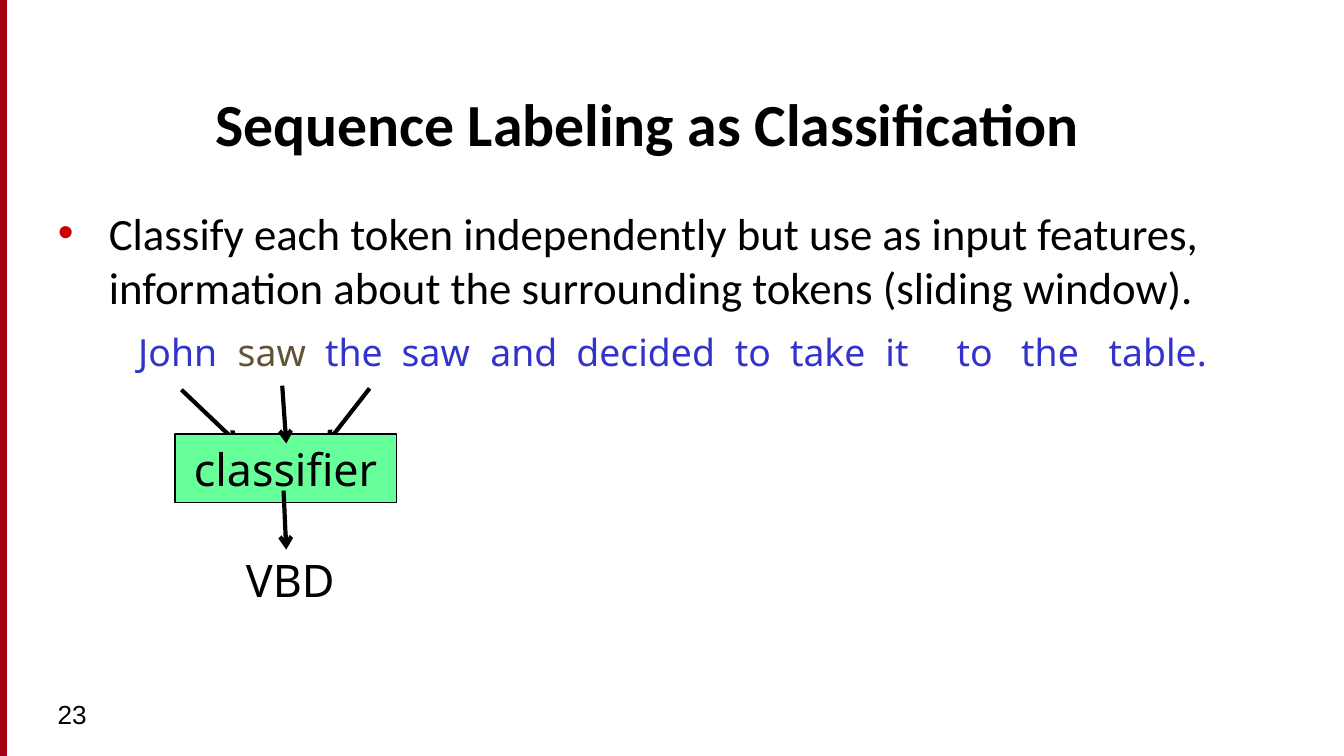
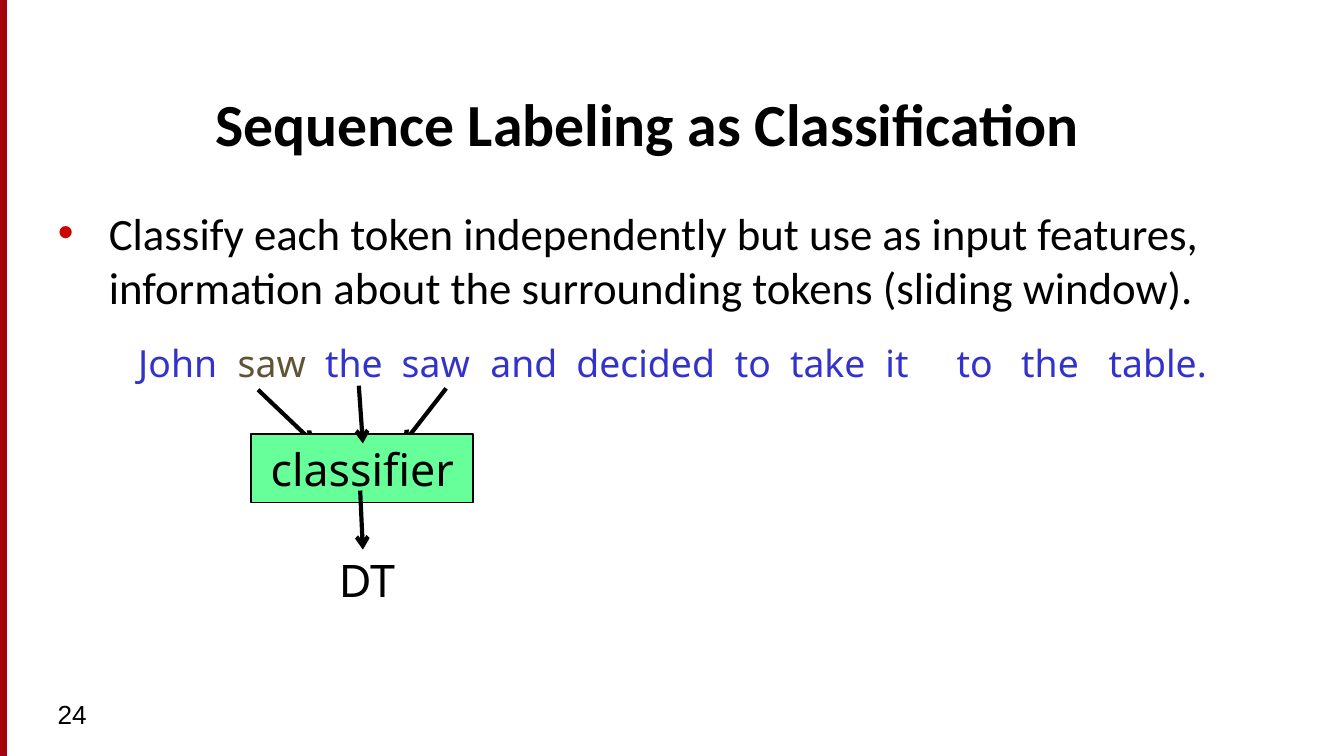
from lxml.etree import SubElement
from pptx import Presentation
from pptx.dml.color import RGBColor
from pptx.enum.shapes import MSO_CONNECTOR, MSO_SHAPE
from pptx.enum.text import MSO_ANCHOR, MSO_AUTO_SIZE, PP_ALIGN
from pptx.oxml.ns import qn
from pptx.util import Inches, Pt

BLACK = RGBColor(0x00, 0x00, 0x00)
RED = RGBColor(0xA4, 0x05, 0x08)
EDGE = RGBColor(0xA4, 0x00, 0x1D)
BULLET = RGBColor(0xCC, 0x00, 0x00)
BLUE = RGBColor(0x33, 0x33, 0xCC)
BROWN = RGBColor(0x60, 0x54, 0x35)
GREEN = RGBColor(0x66, 0xFF, 0x99)

WIDE = 10
HIGH = WIDE * 9 / 16
TITLE = "Sequence Labeling as Classification"
POINT = ("Classify each token independently but use as input features, "
         "information about the surrounding tokens (sliding window).")
WORDS = ["John", "saw", "the", "saw", "and", "decided",
         "to", "take", "it", "to", "the", "table."]
STOPS = [0.74, 1.39, 1.96, 2.62, 3.26, 4.44, 4.85, 5.56, 6.09, 6.57, 7.22]
MARKED = 1

# page number, top of the sentence, left of the classifier, tag, tag width
PAGES = [(23, 2.4, 1.3, "VBD", 0.86),
         (24, 2.48, 1.87, "DT", 0.66)]


def style(run, size, face, color=BLACK, bold=False):
    font = run.font
    font.size, font.name, font.bold = Pt(size), face, bold
    font.color.rgb = color


def place(shape, box):
    shape.left, shape.top, shape.width, shape.height = map(Inches, box)


def write(shape, text, size, face, bold=False, align=PP_ALIGN.LEFT,
          anchor=MSO_ANCHOR.TOP, wrap=True):
    """Fill a shape with one paragraph and return that paragraph."""
    frame = shape.text_frame
    frame.text = text
    frame.word_wrap = wrap
    frame.auto_size = MSO_AUTO_SIZE.NONE
    frame.vertical_anchor = anchor
    para = frame.paragraphs[0]
    para.alignment = align
    style(para.runs[0], size, face, bold=bold)
    return para


def add_text(slide, box, *args, **kinds):
    return write(slide.shapes.add_textbox(*map(Inches, box)), *args, **kinds)


def add_rect(slide, box, fill, line, width):
    rect = slide.shapes.add_shape(MSO_SHAPE.RECTANGLE, *map(Inches, box))
    rect.shadow.inherit = False
    rect.fill.solid()
    rect.fill.fore_color.rgb = fill
    rect.line.color.rgb = line
    rect.line.width = Pt(width)
    return rect


def add_arrow(slide, *ends):
    link = slide.shapes.add_connector(MSO_CONNECTOR.STRAIGHT, *map(Inches, ends))
    link.line.color.rgb = BLACK
    link.line.width = Pt(2.25)
    props = link.element.spPr
    SubElement(props.find(qn("a:ln")), qn("a:tailEnd"), type="arrow")
    SubElement(props, qn("a:effectLst"))


def add_bullet(para, indent):
    props = para._p.get_or_add_pPr()
    props.set("marL", str(Inches(indent)))
    props.set("indent", str(-Inches(indent)))
    color = SubElement(props, qn("a:buClr"))
    SubElement(color, qn("a:srgbClr"), val=str(BULLET))
    SubElement(props, qn("a:buFont"), typeface="Arial")
    SubElement(props, qn("a:buChar"), char="•")


def add_frame(slide, number):
    """Draw what every slide shares: band, title, bullet and page number."""
    add_rect(slide, (0, 0, 0.05, HIGH), RED, EDGE, 0.75)
    title, body = slide.placeholders
    place(title, (1.5, 0.42, 8.17, 0.81))
    write(title, TITLE, 32, "Calibri", bold=True, anchor=MSO_ANCHOR.BOTTOM)
    place(body, (0.33, 1.48, 9.33, 3.65))
    para = write(body, POINT, 24, "Calibri")
    para.space_before = Pt(4.8)
    add_bullet(para, 0.38)
    add_text(slide, (0.33, 5.15, 2.17, 0.38), str(number), 14, "Arial")


def add_words(slide, left, top):
    """Set the sentence on tab stops, with one word marked."""
    para = add_text(slide, (left, top, 8.78, 0.44),
                    "\t".join(WORDS[:MARKED]) + "\t", 20, "Noto Sans")
    para.runs[0].font.color.rgb = BLUE
    rest = "\t" + "\t".join(WORDS[MARKED + 1:])
    for text, color in ((WORDS[MARKED], BROWN), (rest, BLUE)):
        run = para.add_run()
        run.text = text
        style(run, 20, "Noto Sans", color)
    tabs = SubElement(para._p.get_or_add_pPr(), qn("a:tabLst"))
    for stop in STOPS:
        SubElement(tabs, qn("a:tab"), pos=str(Inches(stop)), algn="l")


def add_model(slide, left, top, tag, width):
    """Draw the classifier with three arrows in and one out to its tag."""
    def arrow(x1, y1, x2, y2):
        add_arrow(slide, left + x1, top + y1, left + x2, top + y2)

    arrow(0.05, -0.33, 0.47, 0.07)
    arrow(1.45, -0.34, 1.13, 0.07)
    rect = add_rect(slide, (left, top, 1.65, 0.51), GREEN, BLACK, 1)
    write(rect, "classifier", 24, "Noto Sans", align=PP_ALIGN.CENTER,
          anchor=MSO_ANCHOR.MIDDLE, wrap=False)
    arrow(0.8, -0.36, 0.83, 0.07)
    arrow(0.81, 0.42, 0.83, 0.86)
    add_text(slide, (left + 0.86 - width / 2, top + 0.83, width, 0.51),
             tag, 24, "Noto Sans", align=PP_ALIGN.CENTER, wrap=False)


def main():
    deck = Presentation()
    deck.slide_width, deck.slide_height = Inches(WIDE), Inches(HIGH)
    for number, top, left, tag, width in PAGES:
        slide = deck.slides.add_slide(deck.slide_layouts[1])
        add_frame(slide, number)
        add_words(slide, 0.93, top)
        add_model(slide, left, 3.23, tag, width)
    deck.save("out.pptx")


if __name__ == "__main__":
    main()
